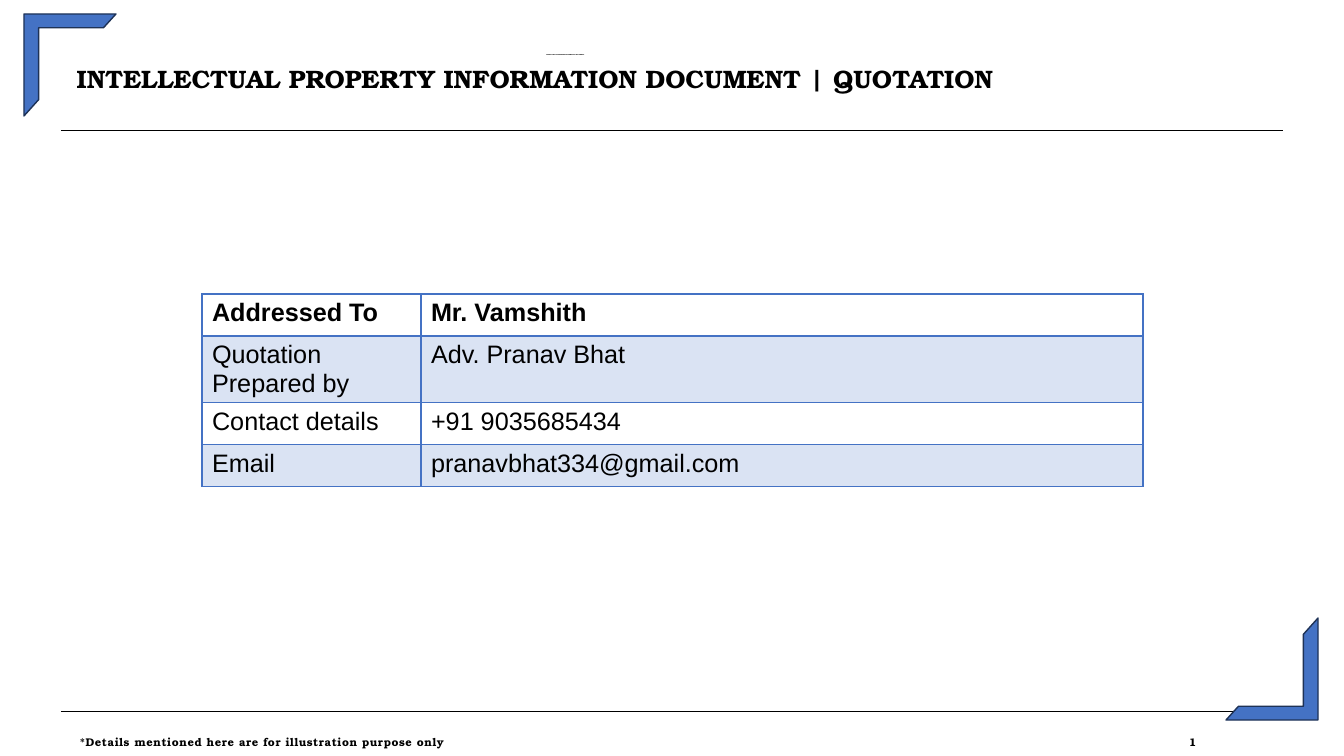
from lxml.etree import SubElement
from pptx import Presentation
from pptx.dml.color import RGBColor
from pptx.enum.shapes import MSO_CONNECTOR, MSO_SHAPE
from pptx.enum.text import MSO_ANCHOR, MSO_AUTO_SIZE, PP_ALIGN
from pptx.oxml.ns import qn
from pptx.util import Pt

PX = 914400 / 100.8
WIDE, HIGH = 1344, 756
SERIF, SANS = "TeX Gyre Bonum", "Arial"
HUES = {"ink": "000000", "blue": "4472C4", "edge": "1E3256", "tint": "DAE3F3"}
ROWS = [
    ("Addressed To", "Mr. Vamshith"),
    ("Quotation Prepared by", "Adv. Pranav Bhat"),
    ("Contact details", "+91 9035685434"),
    ("Email", "pranavbhat334@gmail.com"),
]


def emu(*vals):
    return [round(v * PX) for v in vals]


def hue(name):
    return RGBColor.from_string(HUES[name])


def style(par, face, size, bold=True):
    font = par.font
    font.name, font.size, font.bold = face, Pt(size), bold
    font.color.rgb = hue("ink")


def fit(frame, text):
    """Fill a text frame with one line, free of margins."""
    frame.word_wrap = True
    frame.auto_size = MSO_AUTO_SIZE.NONE
    frame.vertical_anchor = MSO_ANCHOR.MIDDLE
    frame.margin_left = frame.margin_right = 0
    frame.margin_top = frame.margin_bottom = 0
    frame.text = text
    return frame.paragraphs[0]


def rule(slide, x, y, w):
    line = slide.shapes.add_connector(
        MSO_CONNECTOR.STRAIGHT, *emu(x, y, x + w, y))
    line.line.color.rgb = hue("ink")
    line.line.width = Pt(0.5)
    SubElement(line._element.spPr, qn("a:effectLst"))


def corner(slide, x, y, w, h, turn):
    mark = slide.shapes.add_shape(MSO_SHAPE.HALF_FRAME, *emu(x, y, w, h))
    mark.adjustments[0], mark.adjustments[1] = 0.15, 0.16
    mark.rotation = turn
    mark.shadow.inherit = False
    mark.fill.solid()
    mark.fill.fore_color.rgb = hue("blue")
    mark.line.color.rgb = hue("edge")
    mark.line.width = Pt(1)


def header(slide, x, y, w, h):
    # Title
    title = slide.shapes.title
    title.left, title.top, title.width, title.height = emu(x, y, w, h)
    par = fit(title.text_frame,
              "INTELLECTUAL PROPERTY INFORMATION DOCUMENT | QUOTATION")
    par.alignment = PP_ALIGN.CENTER
    style(par, SERIF, 18)

    # Fine print above the title
    fine = slide.shapes.add_textbox(*emu(x + 23, y + 20, w + 15, 2))
    par = fit(fine.text_frame, "PATENT AND TRADEMARK INFORMATION DOCUMENT")
    par.alignment = PP_ALIGN.CENTER
    style(par, SERIF, 1)


def border(cell, side, width):
    line = SubElement(cell._tc.get_or_add_tcPr(), qn("a:" + side),
                      w=str(Pt(width)))
    fill = SubElement(line, qn("a:solidFill"))
    SubElement(fill, qn("a:srgbClr"), val=HUES["blue"])


def details(slide, x, y, w, h):
    grid = slide.shapes.add_table(len(ROWS), 2, *emu(x, y, w, h)).table
    grid.horz_banding = False
    for col, wide in zip(grid.columns, emu(219, w - 219)):
        col.width = wide
    for row, high in zip(grid.rows, emu(42, h - 3 * 42, 42, 42)):
        row.height = high
    for r, texts in enumerate(ROWS):
        for c, text in enumerate(texts):
            cell = grid.cell(r, c)
            cell.text = text
            style(cell.text_frame.paragraphs[0], SANS, 18, r == 0)
            for side in ("lnL", "lnR", "lnT", "lnB"):
                thick = (r, side) in ((0, "lnB"), (1, "lnT"))
                border(cell, side, 2 if thick else 1)
            if r % 2:
                cell.fill.solid()
                cell.fill.fore_color.rgb = hue("tint")
            else:
                cell.fill.background()


def footer(slide, x, y, w, h):
    note = slide.shapes.add_textbox(*emu(x, y, w, h))
    par = fit(note.text_frame,
              "*Details mentioned here are for illustration purpose only\t1")
    # Tab stop for the page number
    props = par._p.get_or_add_pPr()
    tabs = SubElement(props, qn("a:tabLst"))
    SubElement(tabs, qn("a:tab"), pos=str(emu(1109)[0]), algn="l")
    style(par, SERIF, 8)
    for run in par.runs:
        run._r.get_or_add_rPr().set("spc", "40")


def main():
    deck = Presentation()
    deck.slide_width, deck.slide_height = emu(WIDE, HIGH)
    slide = deck.slides.add_slide(deck.slide_layouts[5])

    # Rules and corner marks
    for y in (130, 711):
        rule(slide, 61, y, 1222)
    corner(slide, 24, 14, 92, 102, 0)
    corner(slide, 1226, 618, 92, 102, 180)

    header(slide, 43, 34, 984, 89)
    details(slide, 202, 294, 941, 192)
    footer(slide, 80, 733, 1200, 18)
    deck.save("out.pptx")


if __name__ == "__main__":
    main()
